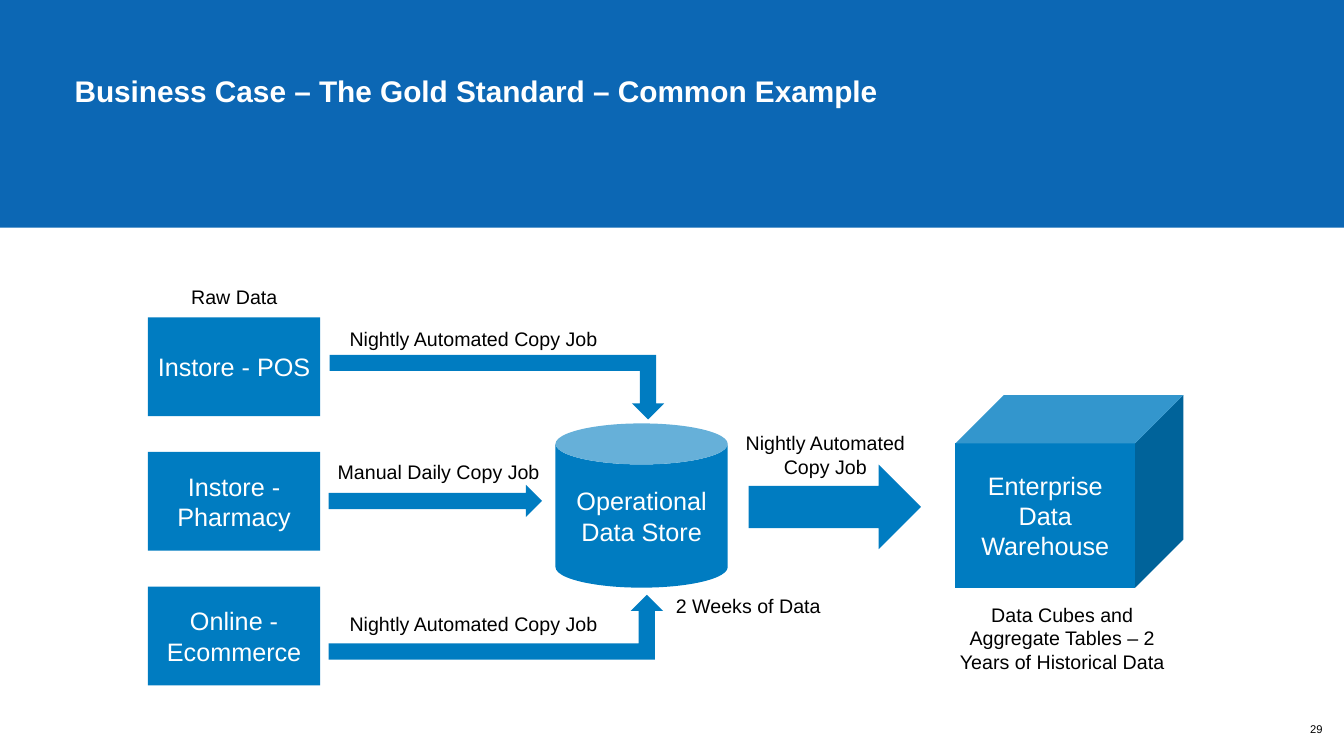
from pptx import Presentation
from pptx import util as u
from pptx.dml.color import RGBColor
from pptx.enum import shapes, text

COLORS = {"header": "0C67B4", "box": "007CC1", "light": "FFFFFF", "dark": "000000"}
SHAPE = shapes.MSO_SHAPE
ALIGN = text.PP_ALIGN
ANCHOR = text.MSO_ANCHOR


def write(tf, words, size=14, color="dark", bold=False, align=ALIGN.LEFT,
          anchor=ANCHOR.TOP, wrap=True, side=0.25):
    tf.word_wrap = wrap
    tf.auto_size = text.MSO_AUTO_SIZE.NONE
    tf.vertical_anchor = anchor
    tf.margin_left = tf.margin_right = u.Cm(side)
    tf.margin_top = tf.margin_bottom = u.Cm(0.13)
    p = tf.paragraphs[0]
    p.alignment = align
    r = p.add_run()
    r.text = words
    r.font.name = "Arial"
    r.font.size = u.Pt(size)
    r.font.bold = bold
    r.font.color.rgb = RGBColor.from_string(COLORS[color])


class Diagram:
    def __init__(self, prs):
        self.s = prs.slides.add_slide(prs.slide_layouts[5])

    def place(self, *box):
        return [u.Cm(v) for v in box]

    def shape(self, kind, *box, color="box"):
        sp = self.s.shapes.add_shape(kind, *self.place(*box))
        sp.shadow.inherit = False
        sp.fill.solid()
        sp.fill.fore_color.rgb = RGBColor.from_string(COLORS[color])
        sp.line.fill.background()
        return sp

    def header(self, *box):
        sp = self.shape(SHAPE.RECTANGLE, *box, color="header")
        self.s.shapes.element.insert(2, sp.element)

    def title(self, words, *box):
        sp = self.s.shapes.title
        sp.left, sp.top, sp.width, sp.height = self.place(*box)
        write(sp.text_frame, words, size=21.3, color="light", bold=True)

    def node(self, kind, words, *box):
        sp = self.shape(kind, *box)
        write(sp.text_frame, words, size=18, color="light", align=ALIGN.CENTER,
              anchor=ANCHOR.MIDDLE, side=0.2)

    def label(self, words, *box, **style):
        sp = self.s.shapes.add_textbox(*self.place(*box))
        write(sp.text_frame, words, **style)


def main():
    prs = Presentation()
    prs.slide_width, prs.slide_height = u.Cm(33.87), u.Cm(19.05)
    d = Diagram(prs)
    d.header(0, 0, 33.87, 5.74)
    d.title("Business Case – The Gold Standard – Common Example", 1.63, 1.7, 26.57, 1.17)

    for i, source in enumerate(["Instore - POS", "Instore - Pharmacy", "Online - Ecommerce"]):
        d.node(SHAPE.RECTANGLE, source, 3.73, 8 + 3.39 * i, 4.34, 2.49)
    d.node(SHAPE.CAN, "Operational Data Store", 14, 10.67, 4.34, 4.14)
    d.node(SHAPE.CUBE, "Enterprise Data Warehouse", 24.08, 9.96, 5.74, 4.85)

    d.shape(SHAPE.RIGHT_ARROW, 18.87, 11.71, 4.34, 2.13)
    d.shape(SHAPE.RIGHT_ARROW, 8.28, 12.22, 5.38, 0.81)
    d.shape(SHAPE.BENT_UP_ARROW, 8.28, 14.99, 8.43, 1.63)
    down = d.shape(SHAPE.BENT_UP_ARROW, 8.31, 8.94, 8.43, 1.63)
    down.rotation = 180
    down.element.spPr.get_or_add_xfrm().set("flipH", "1")

    for top in (8.1, 15.29):
        d.label("Nightly Automated Copy Job", 8.56, top, 7.09, 0.86)
    d.label("Manual Daily Copy Job", 8.26, 11.46, 5.74, 0.86)
    for words, *box in [
        ("Nightly Automated Copy Job", 17.93, 10.74, 5.74, 1.45),
        ("Data Cubes and Aggregate Tables – 2 Years of Historical Data", 23.9, 15.06, 5.74, 2.06),
        ("Raw Data", 4.09, 7.04, 3.63, 0.86),
        ("2 Weeks of Data", 16.69, 14.83, 4.34, 0.86),
    ]:
        d.label(words, *box, align=ALIGN.CENTER)
    d.label("29", 32.72, 18.08, 0.86, 0.61, size=8, align=ALIGN.RIGHT, wrap=False)
    prs.save("out.pptx")


if __name__ == "__main__":
    main()
